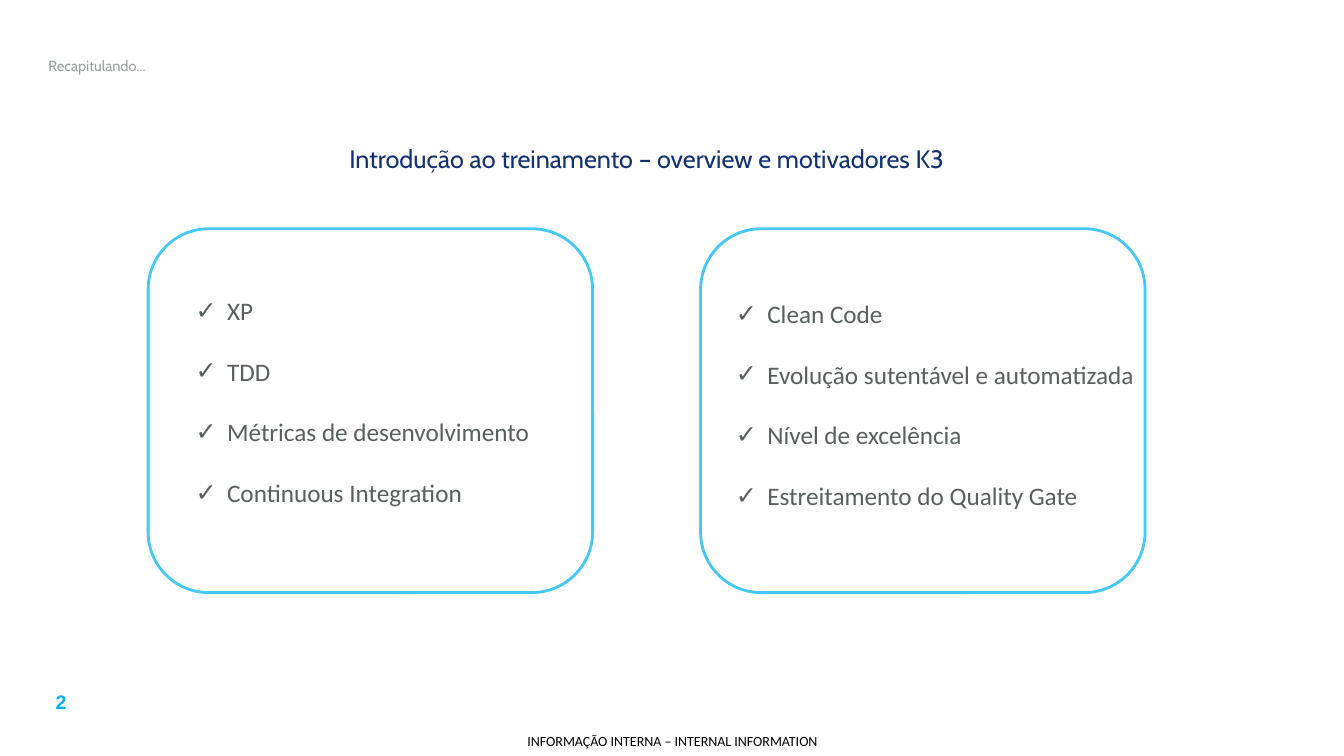
from dataclasses import dataclass

from lxml import etree
from pptx import Presentation
from pptx.dml.color import RGBColor
from pptx.enum import shapes, text
from pptx.oxml import ns
from pptx.util import Pt

LEFT, MID = text.PP_ALIGN.LEFT, text.PP_ALIGN.CENTER
TOP, CORE = text.MSO_ANCHOR.TOP, text.MSO_ANCHOR.MIDDLE
CARD_TOP, CARD_W, CARD_H = 163.4, 317.5, 259.9
GAP, HANG = 21.7, 22.5


@dataclass
class Style:
    font: str
    size: float
    color: str
    bold: bool = False
    align: int = LEFT
    anchor: int = TOP
    inset: tuple = (0, 0)


@dataclass
class Panel:
    left: float
    text_x: float
    text_y: float
    slot: int
    items: list


TITLE = Style("Cabin", 10.5, "9BA0A0", anchor=CORE, inset=(7.2, 3.6))
HEAD = Style("Cabin", 18, "123274", align=MID, anchor=CORE, inset=(7.2, 3.6))
LIST = Style("Calibri", 18, "5A5F5F")
PAGE = Style("Arial", 14, "00B0F0", bold=True, align=MID, inset=(7.2, 3.6))
FOOT = Style("Calibri", 10, "000000", align=MID, anchor=CORE)

PANELS = [
    Panel(105.8, 139.7, 211, 2,
          ["XP", "TDD", "Métricas de desenvolvimento", "Continuous Integration"]),
    Panel(500.4, 525.6, 213.1, 4,
          ["Clean Code", "Evolução sutentável e automatizada",
           "Nível de excelência", "Estreitamento do Quality Gate"]),
]


def paint(color, code: str) -> None:
    color.rgb = RGBColor.from_string(code)


def apply(target, values: dict) -> None:
    for name, value in values.items():
        setattr(target, name, value)


def place(shape, left: float, top: float, width: float, height: float) -> None:
    apply(shape, {"left": Pt(left), "top": Pt(top),
                  "width": Pt(width), "height": Pt(height)})


def write(shape, lines: list, style: Style, gap: float = 0) -> None:
    """Fill a text shape with one formatted paragraph per line."""
    frame = shape.text_frame
    frame.text = "\n".join(lines)
    side, edge = map(Pt, style.inset)
    apply(frame, {"word_wrap": True, "auto_size": text.MSO_AUTO_SIZE.NONE,
                  "vertical_anchor": style.anchor,
                  "margin_left": side, "margin_right": side,
                  "margin_top": edge, "margin_bottom": edge})
    for para in frame.paragraphs:
        apply(para, {"alignment": style.align, "line_spacing": 1.0,
                     "space_before": Pt(0), "space_after": Pt(gap)})
        for run in para.runs:
            apply(run.font, {"name": style.font, "size": Pt(style.size),
                             "bold": style.bold})
            paint(run.font.color, style.color)


def tick(shape) -> None:
    """Give every paragraph a hanging check-mark bullet."""
    for para in shape.text_frame.paragraphs:
        props = para._p.get_or_add_pPr()
        props.set("marL", str(Pt(HANG)))
        props.set("indent", str(-Pt(HANG)))
        etree.SubElement(props, ns.qn("a:buChar")).set("char", "✓")


def card(slide, left: float) -> None:
    """Draw a rounded panel behind the text."""
    box = slide.shapes.add_shape(shapes.MSO_SHAPE.ROUNDED_RECTANGLE, 0, 0, 0, 0)
    place(box, left, CARD_TOP, CARD_W, CARD_H)
    box.shadow.inherit = False
    box.fill.solid()
    paint(box.fill.fore_color, "FFFFFF")
    paint(box.line.color, "46C8F5")
    box.line.width = Pt(2)
    slide.shapes._spTree.insert(2, box._element)


def label(slide, line: str, style: Style, area: tuple) -> None:
    box = slide.shapes.add_textbox(0, 0, 0, 0)
    place(box, *area)
    write(box, [line], style)


def main() -> None:
    deck = Presentation()
    apply(deck, {"slide_width": Pt(960), "slide_height": Pt(540)})
    slide = deck.slides.add_slide(deck.slide_layouts.get_by_name("Comparison"))
    slots = {item.placeholder_format.idx: item for item in slide.placeholders}

    place(slots[0], 27.4, 29.5, 855.4, 34.6)
    write(slots[0], ["Recapitulando..."], TITLE)
    place(slots[1], 27.4, 88.6, 869, 49.7)
    write(slots[1], ["Introdução ao treinamento – overview e motivadores K3"], HEAD)
    spare = slots[3]._element
    spare.getparent().remove(spare)

    for panel in PANELS:
        card(slide, panel.left)
        body = slots[panel.slot]
        place(body, panel.text_x, panel.text_y, 294.5, 152.6)
        write(body, panel.items, LIST, GAP)
        tick(body)

    label(slide, "2", PAGE, (15.1, 489.6, 56.9, 24.5))
    label(slide, "INFORMAÇÃO INTERNA – INTERNAL INFORMATION", FOOT,
          (362.2, 519.1, 236.2, 20.9))
    deck.save("out.pptx")


if __name__ == "__main__":
    main()
